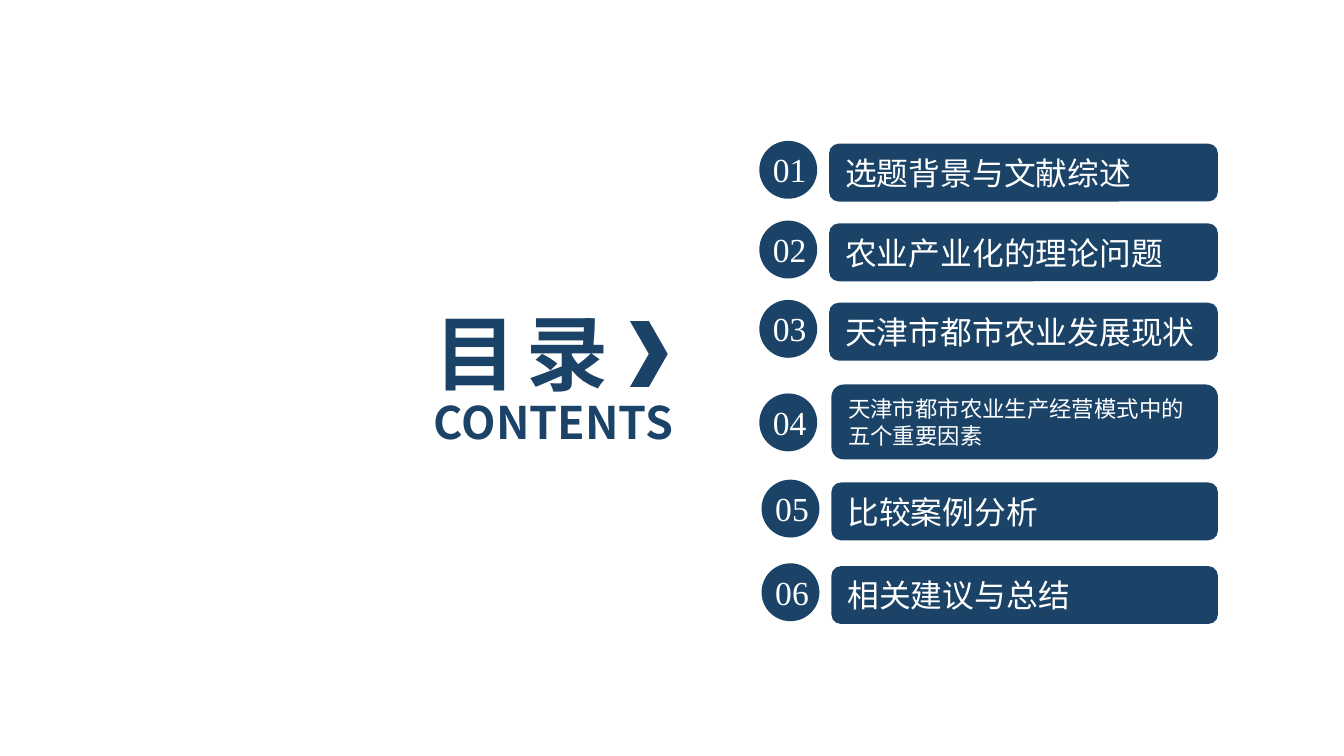
from lxml.etree import SubElement
from pptx import Presentation
from pptx.dml.color import RGBColor
from pptx.enum.shapes import MSO_SHAPE as Shape
from pptx.enum.text import MSO_ANCHOR as Anchor, MSO_AUTO_SIZE as AutoSize, PP_ALIGN as Align
from pptx.oxml.ns import qn
from pptx.util import Pt

COLORS = {"navy": "1B4367", "white": "FFFFFF"}
CJK_FONT = "Noto Sans CJK SC"
NUMBER_FONT = "Times New Roman"

TITLE = "目 录"
SUBTITLE = "CONTENTS"
# text, font size, bar left, bar top, bar height, circle left, circle top
SECTIONS = [
    ("选题背景与文献综述", 17, 444.2, 77, 31, 406.8, 75.5),
    ("农业产业化的理论问题", 17, 444.2, 119.7, 31, 406.8, 118.2),
    ("天津市都市农业发展现状", 17, 444.2, 162.2, 31, 406.8, 160.7),
    ("天津市都市农业生产经营模式中的五个重要因素", 12, 445.4, 206, 40.2, 406.8, 210.8),
    ("比较案例分析", 17, 445.4, 258.5, 31, 408, 257),
    ("相关建议与总结", 17, 445.4, 303.3, 31, 408, 301.8),
]
BARS_RIGHT = 652.5
CIRCLE = 31
NUMBER_WIDTH, NUMBER_HEIGHT = 37.4, 28.8


def lengths(*values):
    return [Pt(value) for value in values]


def write(shape, text, size, color, font_name=CJK_FONT, bold=False, align=Align.LEFT):
    frame = shape.text_frame
    frame.word_wrap = True
    frame.auto_size = AutoSize.NONE
    frame.vertical_anchor = Anchor.MIDDLE
    paragraph = frame.paragraphs[0]
    paragraph.text = text
    paragraph.alignment = align
    font = paragraph.font
    font.name, font.size, font.bold = font_name, Pt(size), bold
    font.color.rgb = RGBColor.from_string(COLORS[color])
    run_properties = paragraph.runs[0]._r.get_or_add_rPr()
    SubElement(run_properties, qn("a:ea")).set("typeface", font_name)
    return run_properties


def add_navy_shape(shapes, kind, *box):
    shape = shapes.add_shape(kind, *lengths(*box))
    shape.shadow.inherit = False
    shape.fill.solid()
    shape.fill.fore_color.rgb = RGBColor.from_string(COLORS["navy"])
    shape.line.fill.background()
    return shape


presentation = Presentation()
presentation.slide_width, presentation.slide_height = lengths(720, 405)
slide = presentation.slides.add_slide(presentation.slide_layouts[5])

title = slide.shapes.title
title.left, title.top, title.width, title.height = lengths(225.4, 158.4, 169.2, 60.5)
write(title, TITLE, 44, "navy", bold=True).set("spc", "-220")

subtitle = slide.shapes.add_textbox(*lengths(225.4, 208.1, 166.3, 36))
write(subtitle, SUBTITLE, 24, "navy", bold=True)

add_navy_shape(slide.shapes, Shape.CHEVRON, 337.5, 172, 20.2, 35.3)

for number, section in enumerate(SECTIONS, start=1):
    text, size, bar_left, bar_top, bar_height, circle_left, circle_top = section
    bar = add_navy_shape(slide.shapes, Shape.ROUNDED_RECTANGLE,
                         bar_left, bar_top, BARS_RIGHT - bar_left, bar_height)
    write(bar, text, size, "white")

    badge = slide.shapes.add_group_shape()
    add_navy_shape(badge.shapes, Shape.OVAL, circle_left, circle_top, CIRCLE, CIRCLE)
    label = badge.shapes.add_textbox(*lengths(circle_left - 2.4, circle_top + 0.9,
                                              NUMBER_WIDTH, NUMBER_HEIGHT))
    write(label, f"{number:02}", 18, "white", NUMBER_FONT, align=Align.CENTER)

presentation.save("out.pptx")
